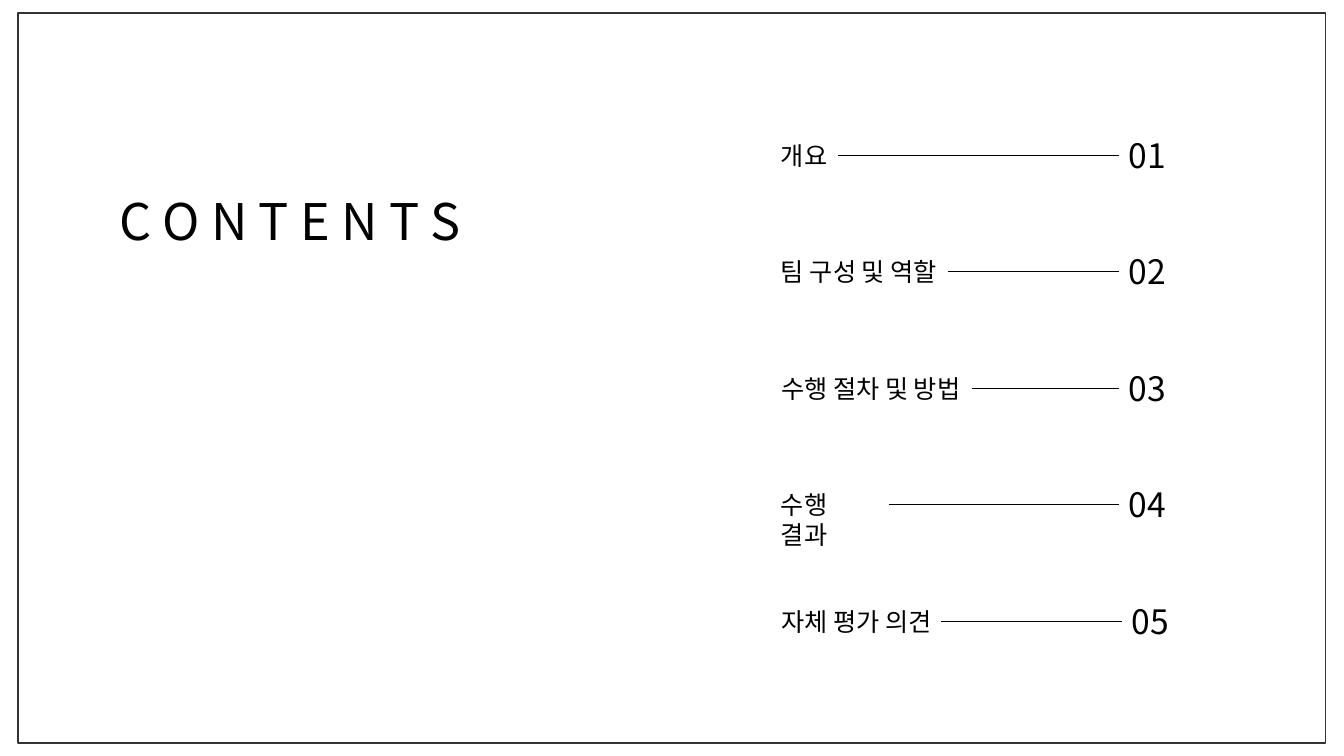
from pptx import Presentation
from pptx import util as u
from pptx.dml.color import RGBColor
from pptx.enum import shapes, text
from pptx.oxml.ns import qn
from lxml import etree

Pt = u.Pt
THEME = {
    "font": "Noto Sans CJK KR",
    "ink": RGBColor(0x00, 0x00, 0x00),
    "frame": RGBColor(0x33, 0x33, 0x33),
    "title": Pt(36),
    "label": Pt(18),
    "number": Pt(24),
}
FRAME_FORMAT = {"word_wrap": True, "auto_size": text.MSO_AUTO_SIZE.NONE,
                "vertical_anchor": text.MSO_ANCHOR.TOP}


def write(sp, content, size):
    tf = sp.text_frame
    for name, value in FRAME_FORMAT.items():
        setattr(tf, name, value)
    p = tf.paragraphs[0]
    p.alignment = text.PP_ALIGN.LEFT
    r = p.add_run()
    r.text = content
    for name, value in {"name": THEME["font"], "size": THEME[size]}.items():
        setattr(r.font, name, value)
    r.font.color.rgb = THEME["ink"]
    ea = etree.SubElement(r.font._element, qn("a:ea"))
    ea.set("typeface", THEME["font"])


prs = Presentation()
prs.slide_width, prs.slide_height = Pt(960), Pt(540)
s = prs.slides.add_slide(prs.slide_layouts[5])

title = s.shapes.title
box = {"left": 77.8, "top": 132.5, "width": 269.3, "height": 51}
for name, value in box.items():
    setattr(title, name, Pt(value))
write(title, "C O N T E N T S", "title")

LABEL_LEFT, NUMBER_LEFT = 550.8, 799.2
FIRST_LINE, PITCH = 110.8, 83.2
entries = [
    ("개요", 47.8, 0),
    ("팀 구성 및 역할", 126.7, 0),
    ("수행 절차 및 방법", 143.3, 0),
    ("수행 결과", 84.2, 0),
    ("자체 평가 의견", 121.7, 2),
]
for i, (label, width, shift) in enumerate(entries):
    y = FIRST_LINE + i * PITCH
    right = NUMBER_LEFT + shift
    label_box = s.shapes.add_textbox(Pt(LABEL_LEFT), Pt(y - 14.4), Pt(width), Pt(29))
    write(label_box, label, "label")
    number_box = s.shapes.add_textbox(Pt(right), Pt(y - 18), Pt(46.8), Pt(36))
    write(number_box, f"{i + 1:02}", "number")
    leader = s.shapes.add_connector(shapes.MSO_CONNECTOR.STRAIGHT,
                                    Pt(LABEL_LEFT + width), Pt(y), Pt(right), Pt(y))
    leader.line.color.rgb = THEME["ink"]
    leader.line.width = Pt(0.5)
    etree.SubElement(leader._element.spPr, qn("a:effectLst"))

border = s.shapes.add_shape(shapes.MSO_SHAPE.RECTANGLE, Pt(13), Pt(9.4), Pt(933.8), Pt(521.3))
border.shadow.inherit = False
border.fill.background()
border.line.color.rgb = THEME["frame"]
border.line.width = Pt(1)

prs.save("out.pptx")
